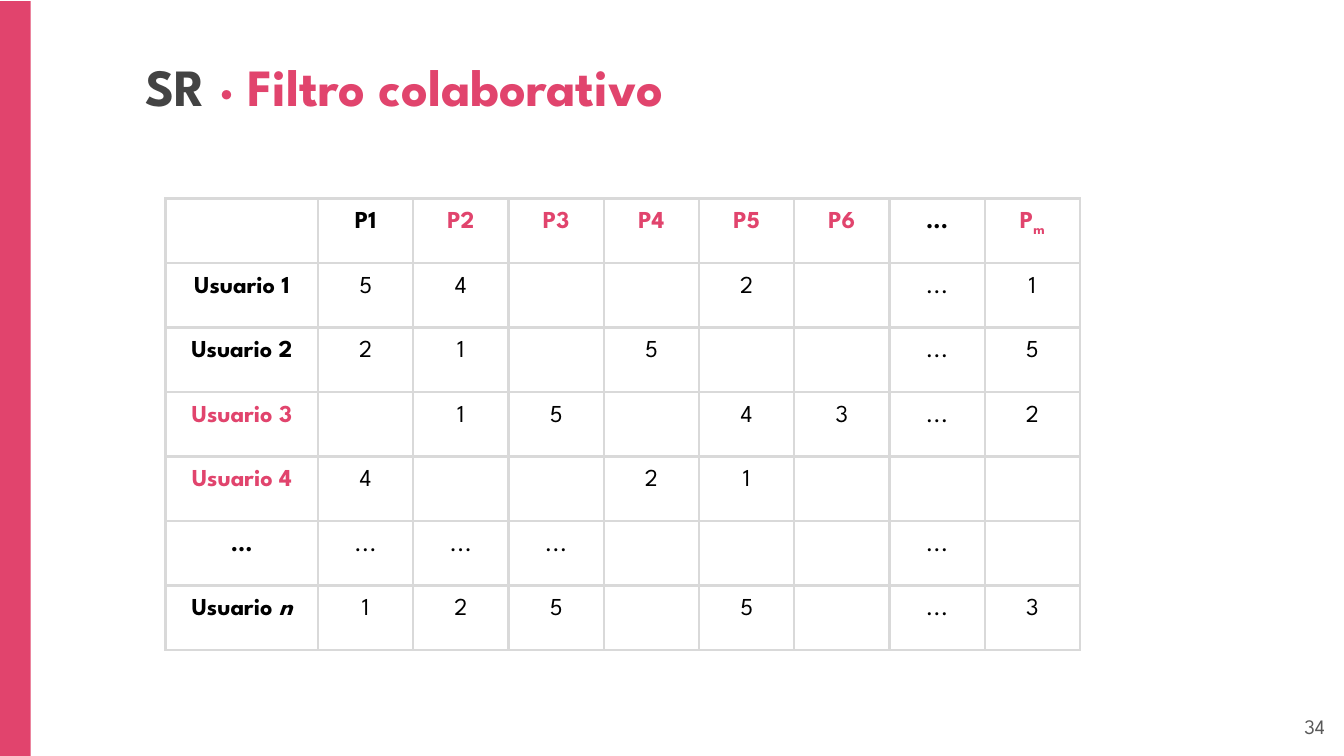
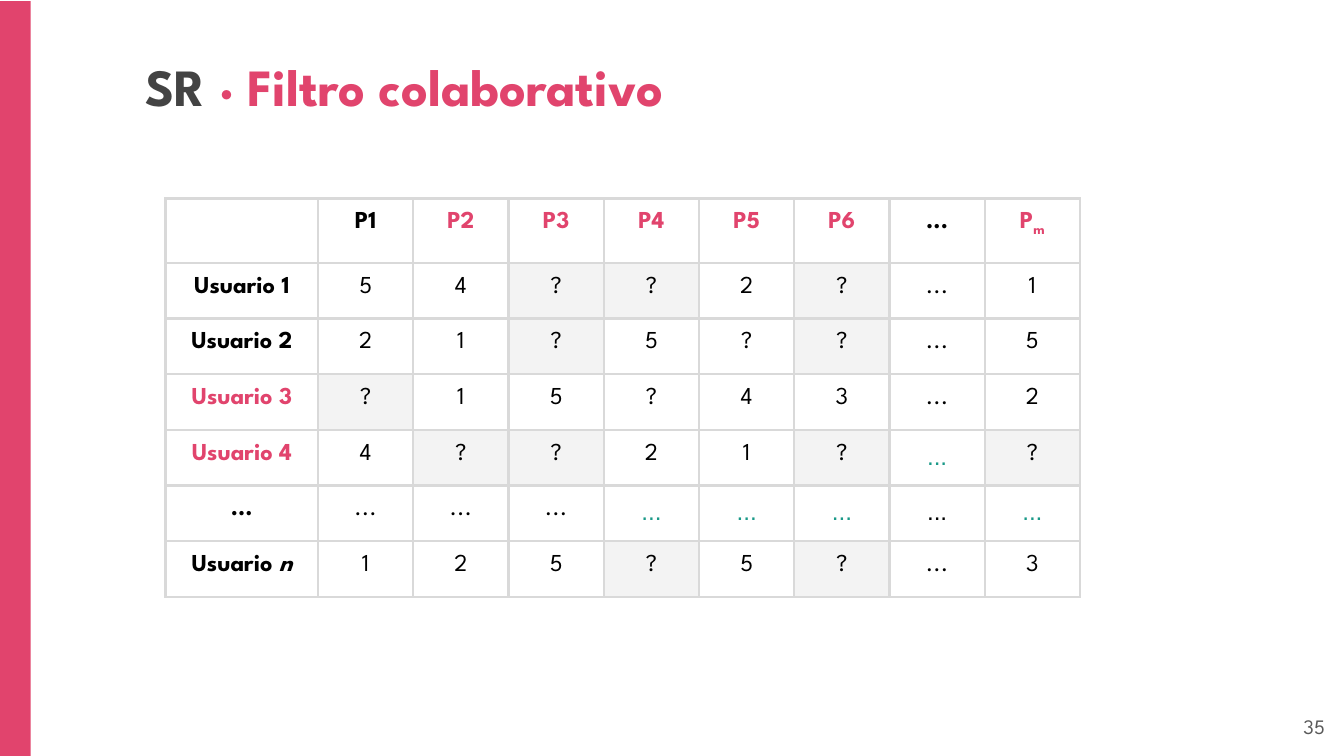
from lxml import etree
from pptx import Presentation
from pptx.dml.color import RGBColor
from pptx.enum.shapes import MSO_SHAPE
from pptx.enum.text import MSO_ANCHOR, PP_ALIGN
from pptx.oxml.ns import qn
from pptx.util import Cm, Pt

PINK = RGBColor(0xE1, 0x44, 0x6D)
DARK = RGBColor(0x43, 0x43, 0x43)
GREY = RGBColor(0x59, 0x59, 0x59)
BLACK = RGBColor(0, 0, 0)
TEAL = RGBColor(0x1A, 0x99, 0x88)
SHADE = RGBColor(0xF3, 0xF3, 0xF3)
BORDER = "D9D9D9"
FONT = "League Spartan"
INSET = Cm(0.25)

PRODUCTS = ["", "P1", "P2", "P3", "P4", "P5", "P6", "...", "Pm"]
USERS = ["Usuario 1", "Usuario 2", "Usuario 3", "Usuario 4", "...", "Usuario n"]
PINK_LABELS = {"P2", "P3", "P4", "P5", "P6", "Pm", "Usuario 3", "Usuario 4"}

# Ratings by user; "_" is an empty cell, "#" a shaded "?", "~" a teal "..."
PAGES = [
    (34, 1.22, ["5 4 _ _ 2 _ ... 1",
                "2 1 _ 5 _ _ ... 5",
                "_ 1 5 _ 4 3 ... 2",
                "4 _ _ 2 1 _ _ _",
                "... ... ... _ _ _ ... _",
                "1 2 5 _ 5 _ ... 3"]),
    (35, 1.04, ["5 4 # # 2 # ... 1",
                "2 1 # 5 ? # ... 5",
                "# 1 5 ? 4 3 ... 2",
                "4 # # 2 1 # ~ #",
                "... ... ... ~ ~ ~ ... ~",
                "1 2 5 # 5 # ... 3"]),
]


def add_text(slide, left, top, width, height, anchor, runs, size, bold, align):
    frame = slide.shapes.add_textbox(Cm(left), Cm(top), Cm(width), Cm(height)).text_frame
    frame.word_wrap = True
    frame.vertical_anchor = anchor
    frame.margin_left = frame.margin_right = INSET
    frame.margin_top = frame.margin_bottom = INSET
    line = frame.paragraphs[0]
    line.alignment = align
    line.font.name, line.font.size, line.font.bold = FONT, Pt(size), bold
    for text, color in runs:
        run = line.add_run()
        run.text = text
        run.font.color.rgb = color


def fill_cell(cell, text, color=BLACK, bold=False, shade=None, font=FONT):
    cell.margin_left = cell.margin_right = INSET
    cell.margin_top = cell.margin_bottom = INSET
    line = cell.text_frame.paragraphs[0]
    line.alignment = PP_ALIGN.CENTER
    line.font.name, line.font.size, line.font.bold = font, Pt(13), bold
    line.font.color.rgb = color
    # The last letter of "Pm" is a subscript, that of "Usuario n" is italic
    if text[-1:] in ("m", "n"):
        line.add_run().text = text[:-1]
        last = line.add_run()
        last.text = text[-1]
        if text == "Pm":
            last.font._element.set("baseline", "-25000")
        else:
            last.font.italic = True
    elif text:
        line.add_run().text = text
    else:
        etree.SubElement(line._p, qn("a:endParaRPr"), sz="1300")
    # Borders come before the fill
    props = cell._tc.get_or_add_tcPr()
    for side in ("a:lnL", "a:lnR", "a:lnT", "a:lnB"):
        edge = etree.SubElement(props, qn(side), w=str(Pt(1.5)))
        solid = etree.SubElement(edge, qn("a:solidFill"))
        etree.SubElement(solid, qn("a:srgbClr"), val=BORDER)
    if shade is None:
        cell.fill.background()
    else:
        cell.fill.solid()
        cell.fill.fore_color.rgb = shade


prs = Presentation()
prs.slide_width, prs.slide_height = Cm(25.4), Cm(14.29)

for page, row_height, ratings in PAGES:
    slide = prs.slides.add_slide(prs.slide_layouts[6])

    # Side band, title and page number
    band = slide.shapes.add_shape(MSO_SHAPE.RECTANGLE, 0, Cm(0.02), Cm(0.58), Cm(14.27))
    band.shadow.inherit = False
    band.fill.solid()
    band.fill.fore_color.rgb = PINK
    band.line.fill.background()
    add_text(slide, 2.5, 0.84, 20.37, 1.62, MSO_ANCHOR.BOTTOM,
             [("SR ", DARK), ("· Filtro colaborativo", PINK)], 28, True, PP_ALIGN.LEFT)
    add_text(slide, 23.77, 13.19, 1.52, 1.09, MSO_ANCHOR.MIDDLE,
             [(str(page), GREY)], 11, False, PP_ALIGN.RIGHT)

    # Rating table
    table = slide.shapes.add_table(len(USERS) + 1, len(PRODUCTS), Cm(3.13), Cm(3.75),
                                   Cm(17.28), Cm(1.22 + 6 * row_height)).table
    table.first_row = table.horz_banding = False
    for col, column in enumerate(table.columns):
        column.width = Cm(1.8 if col else 2.88)
    for number, row in enumerate(table.rows):
        row.height = Cm(row_height if number else 1.22)

    for col, product in enumerate(PRODUCTS):
        fill_cell(table.cell(0, col), product, PINK if product in PINK_LABELS else BLACK, True)
    for row, (user, marks) in enumerate(zip(USERS, ratings), start=1):
        fill_cell(table.cell(row, 0), user, PINK if user in PINK_LABELS else BLACK, True)
        for col, mark in enumerate(marks.split(), start=1):
            cell = table.cell(row, col)
            if mark == "#":
                fill_cell(cell, "?", shade=SHADE)
            elif mark == "~":
                fill_cell(cell, "...", TEAL, font="Arial")
            elif page == 35 and (row, col) == (5, 7):
                fill_cell(cell, mark, font="Arial")
            else:
                fill_cell(cell, mark.replace("_", ""))

prs.save("out.pptx")
